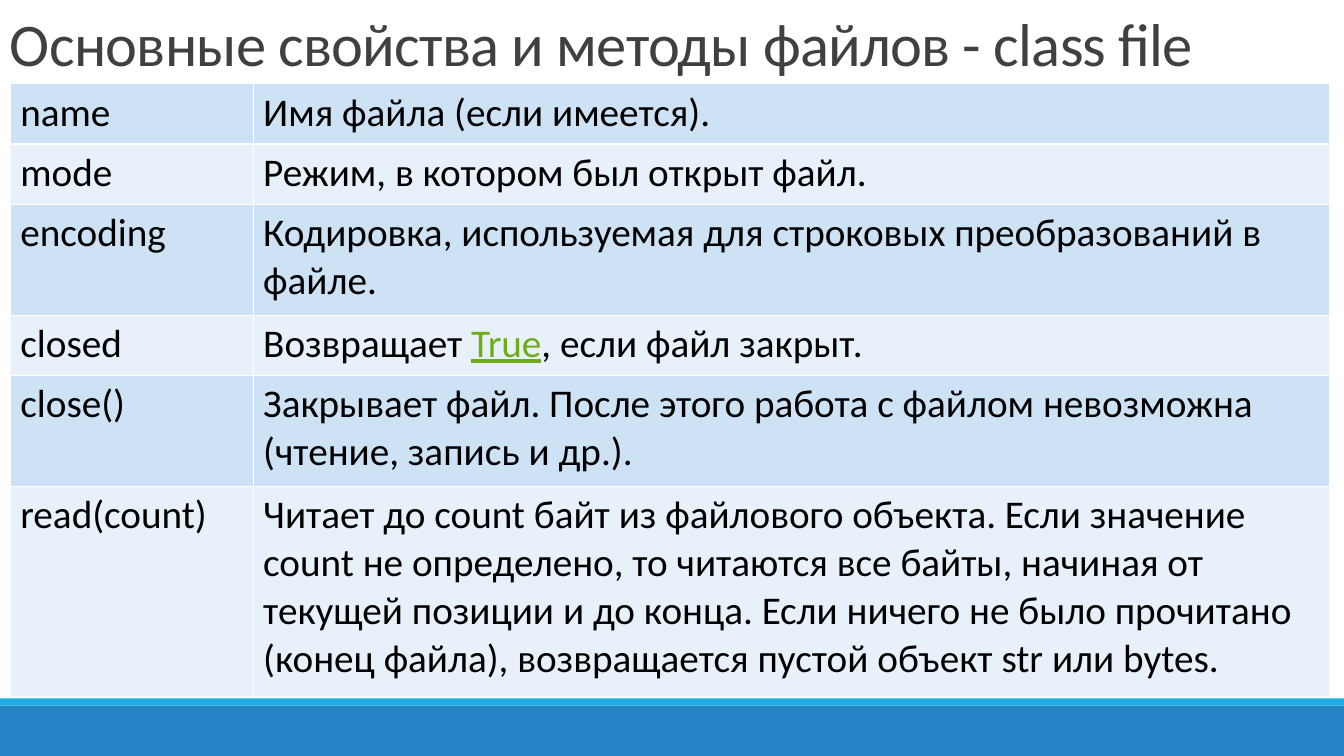
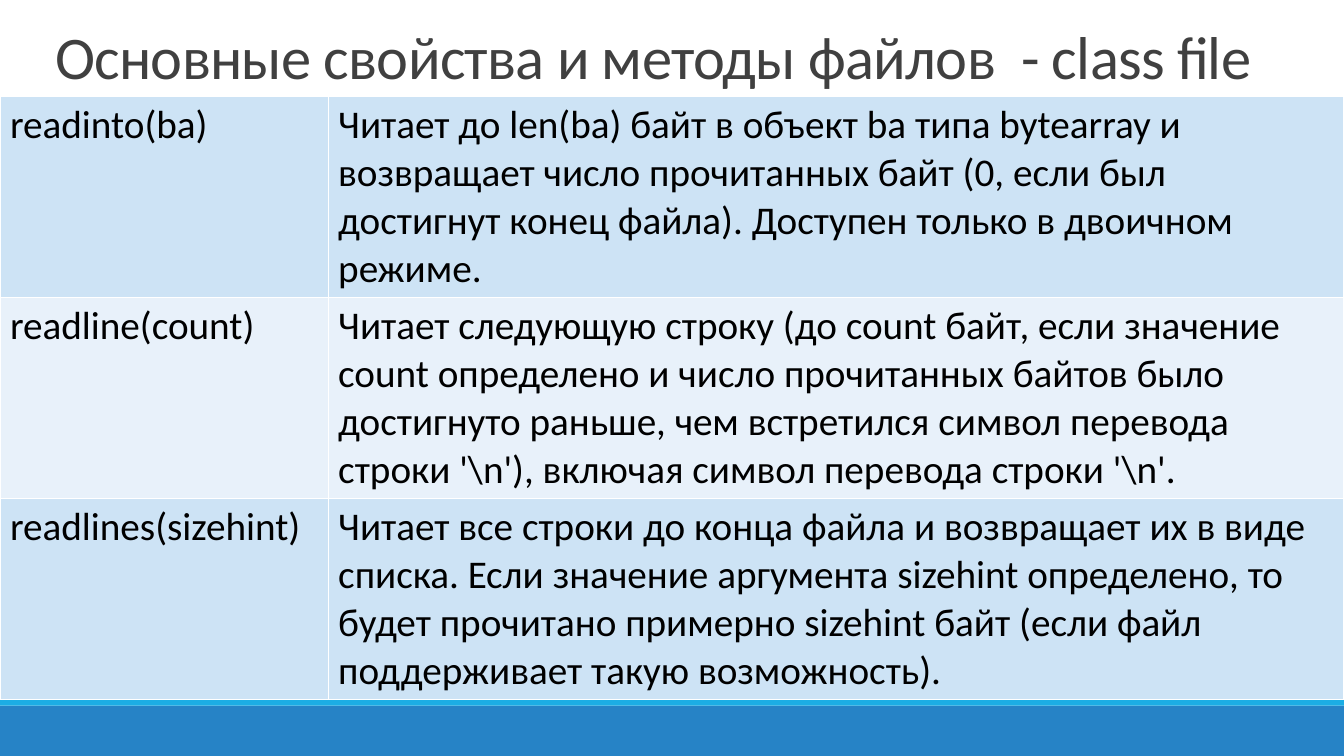
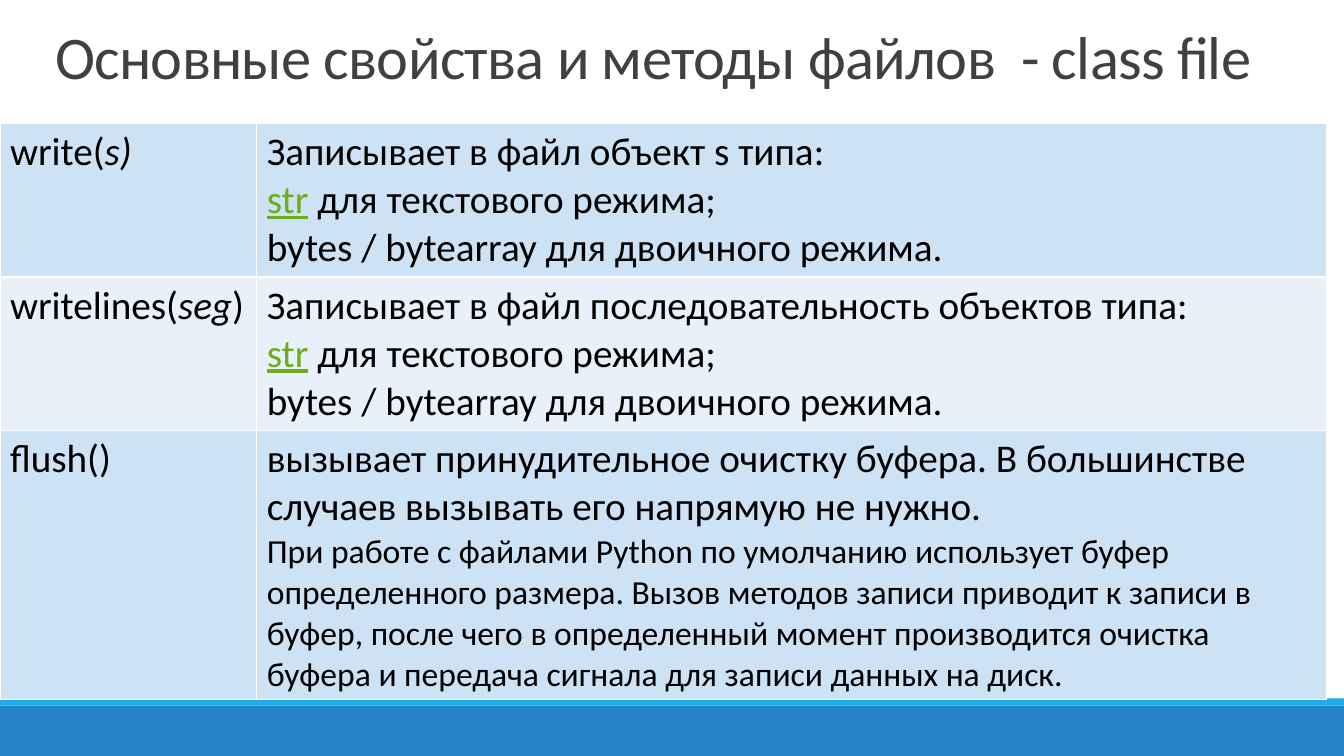
from lxml import etree
from pptx import Presentation
from pptx import util as u
from pptx.dml import color as dml
from pptx.enum import shapes, text
from pptx.oxml import ns

FONT = "Calibri"
BLUE, CYAN, GREY = "2683C6", "1CADE4", "404040"
BLACK, WHITE, GREEN = "000000", "FFFFFF", "6EAC1C"
BANDS = ["CDE3F5", "E8F1FA"]
WIDTH, HEIGHT = 33.87, 19.05
STRIPES = [(17.78, 1.27, BLUE), (17.6, 0.18, CYAN)]


def paint(fill, code):
    fill.solid()
    fill.fore_color.rgb = dml.RGBColor.from_string(code)


def add_border(cell):
    properties = cell._tc.get_or_add_tcPr()
    for index, side in enumerate(["lnL", "lnR", "lnT", "lnB"]):
        line = etree.Element(ns.qn("a:" + side), w=str(u.Pt(1)))
        fill = etree.SubElement(line, ns.qn("a:solidFill"))
        etree.SubElement(fill, ns.qn("a:srgbClr"), val=WHITE)
        properties.insert(index, line)


# A pair of bars marks italics in the first column and a link in the second.
WRITE_MODES = "\n|str| для текстового режима;\nbytes / bytearray для двоичного режима."
pages = [
    {
        "title": "Основные свойства и методы файлов - class file",
        "title_at": (0, 0, 31.6),
        "table_at": (0.26, 2.11),
        "columns": [6.12, 27.13],
        "rows": [
            (1.52, "name", "Имя файла (если имеется)."),
            (1.52, "mode", "Режим, в котором был открыт файл."),
            (2.79, "encoding", "Кодировка, используемая для строковых преобразований в файле."),
            (1.52, "closed", "Возвращает |True|, если файл закрыт."),
            (2.79, "close()", "Закрывает файл. После этого работа с файлом невозможна "
                              "(чтение, запись и др.)."),
            (5.31, "read(count)", "Читает до count байт из файлового объекта. Если значение "
                                  "count не определено, то читаются все байты, начиная от "
                                  "текущей позиции и до конца. Если ничего не было прочитано "
                                  "(конец файла), возвращается пустой объект str или bytes."),
        ],
    },
    {
        "title": "Основные свойства и методы файлов  - class file",
        "title_at": (1.14, 0.33, 31.75),
        "table_at": (0, 2.42),
        "columns": [8.27, 25.6],
        "rows": [
            (5.07, "readinto(ba)", "Читает до len(ba) байт в объект ba типа bytearray и "
                                   "возвращает число прочитанных байт (0, если был достигнут "
                                   "конец файла). Доступен только в двоичном режиме."),
            (5.07, "readline(count)", "Читает следующую строку (до count байт, если значение "
                                      "count определено и число прочитанных байтов было "
                                      "достигнуто раньше, чем встретился символ перевода "
                                      r"строки '\n'), включая символ перевода строки '\n'."),
            (5.07, "readlines(sizehint)", "Читает все строки до конца файла и возвращает их в "
                                          "виде списка. Если значение аргумента sizehint "
                                          "определено, то будет прочитано примерно sizehint "
                                          "байт (если файл поддерживает такую возможность)."),
        ],
    },
    {
        "title": "Основные свойства и методы файлов  - class file",
        "title_at": (1.14, 0.33, 31.93),
        "table_at": (0, 3.11),
        "columns": [6.47, 26.95],
        "rows": [
            (3.87, "write(|s)|", "Записывает в файл объект s типа:" + WRITE_MODES),
            (3.87, "writelines(|seg|)", "Записывает в файл последовательность объектов типа:"
                                        + WRITE_MODES),
            (6.78, "flush()", "вызывает принудительное очистку буфера. В большинстве случаев "
                              "вызывать его напрямую не нужно.\n"
                              "При работе с файлами Python по умолчанию использует буфер "
                              "определенного размера. Вызов методов записи приводит к записи "
                              "в буфер, после чего в определенный момент производится очистка "
                              "буфера и передача сигнала для записи данных на диск."),
        ],
    },
]

deck = Presentation()
deck.slide_width, deck.slide_height = u.Cm(WIDTH), u.Cm(HEIGHT)

for content in pages:
    page = deck.slides.add_slide(deck.slide_layouts[6])

    for top, height, code in STRIPES:
        stripe = page.shapes.add_shape(
            shapes.MSO_SHAPE.RECTANGLE, 0, u.Cm(top), deck.slide_width, u.Cm(height))
        stripe.shadow.inherit = False
        stripe.line.fill.background()
        paint(stripe.fill, code)

    left, top, width = content["title_at"]
    box = page.shapes.add_textbox(u.Cm(left), u.Cm(top), u.Cm(width), u.Cm(2.11))
    box.text_frame.word_wrap = True
    box.text_frame.vertical_anchor = text.MSO_ANCHOR.BOTTOM
    para = box.text_frame.paragraphs[0]
    para.line_spacing = 0.85
    para.font.name, para.font.size = FONT, u.Pt(43.2)
    paint(para.font.fill, GREY)
    span = para.add_run()
    span.text = content["title"]
    span.font._element.set("spc", "-50")

    left, top = content["table_at"]
    columns, rows = content["columns"], content["rows"]
    table = page.shapes.add_table(
        len(rows), len(columns), u.Cm(left), u.Cm(top),
        u.Cm(sum(columns)), u.Cm(sum(row[0] for row in rows))).table
    table.first_row = table.horz_banding = False
    for column, width in zip(table.columns, columns):
        column.width = u.Cm(width)

    for row_index, (height, *entries) in enumerate(rows):
        table.rows[row_index].height = u.Cm(height)
        for column_index, entry in enumerate(entries):
            cell = table.cell(row_index, column_index)
            paint(cell.fill, BANDS[row_index % 2])
            add_border(cell)
            for line_index, line in enumerate(entry.split("\n")):
                frame = cell.text_frame
                para = frame.add_paragraph() if line_index else frame.paragraphs[0]
                para.font.name = FONT
                para.font.size = u.Pt(24 if line.startswith("При работе") else 28)
                paint(para.font.fill, BLACK)
                for part_index, part in enumerate(line.split("|")):
                    if not part:
                        continue
                    span = para.add_run()
                    span.text = part
                    if part_index % 2 and column_index == 0:
                        span.font.italic = True
                    elif part_index % 2:
                        span.font.underline = True
                        paint(span.font.fill, GREEN)

deck.save("out.pptx")
